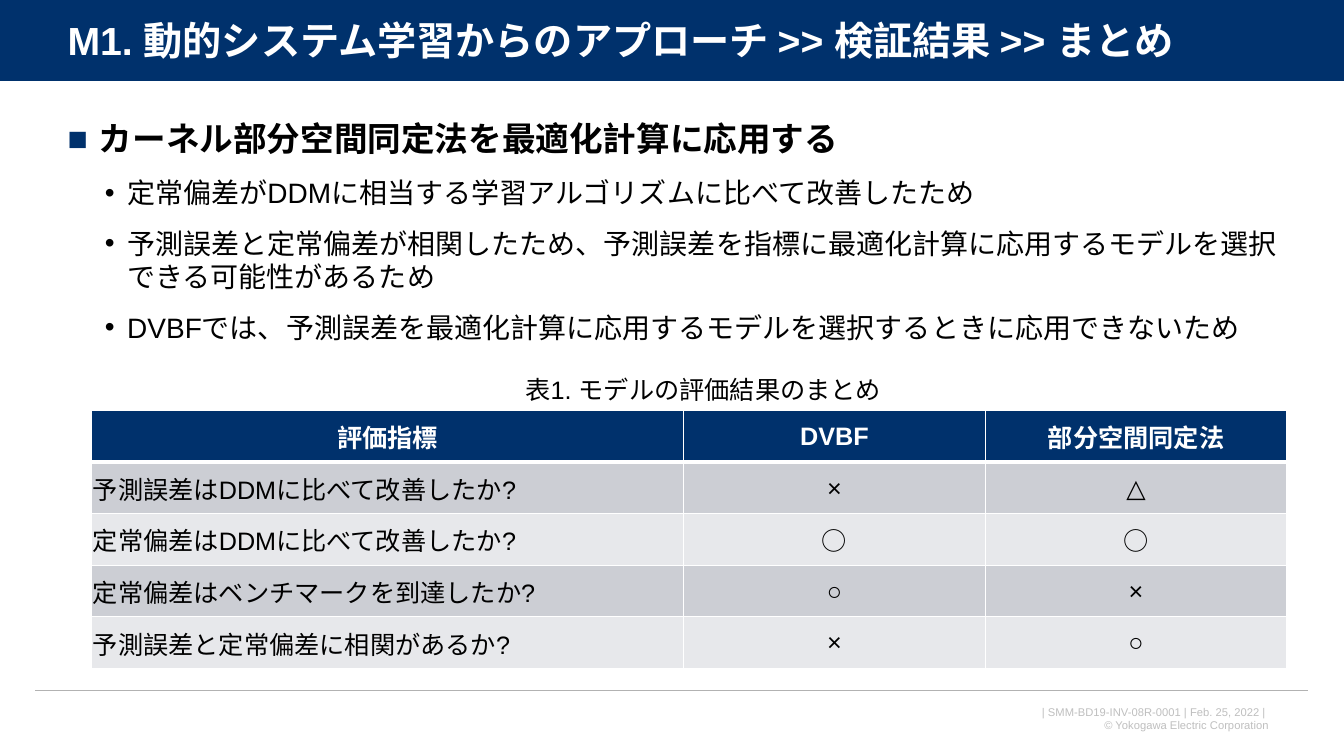
from dataclasses import dataclass

from lxml.etree import SubElement
from pptx import Presentation
from pptx.dml.color import RGBColor
from pptx.enum.shapes import MSO_CONNECTOR, MSO_SHAPE
from pptx.enum.text import MSO_ANCHOR, MSO_AUTO_SIZE, PP_ALIGN
from pptx.oxml.ns import qn
from pptx.util import Cm, Pt


@dataclass(frozen=True)
class Theme:
    navy: str = "00316C"
    white: str = "FFFFFF"
    black: str = "000000"
    rule: str = "B2B2B2"
    footer: str = "BFBFBF"
    bands: tuple = ("CCCED4", "E7E8EB")
    font: str = "Arial"
    east_asian: str = "Noto Sans CJK JP"
    title_size: int = 28
    heading_size: int = 24
    item_size: int = 20
    table_size: int = 18
    footer_size: int = 8


THEME = Theme()
SLIDE_WIDTH, SLIDE_HEIGHT = Cm(33.87), Cm(19.05)
BANNER_HEIGHT = Cm(2.06)

REASONS = [
    "定常偏差がDDMに相当する学習アルゴリズムに比べて改善したため",
    "予測誤差と定常偏差が相関したため、予測誤差を指標に最適化計算に応用するモデルを選択できる可能性があるため",
    "DVBFでは、予測誤差を最適化計算に応用するモデルを選択するときに応用できないため",
]
HEADER = ["評価指標", "DVBF", "部分空間同定法"]
RESULTS = [
    ["予測誤差はDDMに比べて改善したか?", "×", "△"],
    ["定常偏差はDDMに比べて改善したか?", "○", "○"],
    ["定常偏差はベンチマークを到達したか?", "○", "×"],
    ["予測誤差と定常偏差に相関があるか?", "×", "○"],
]
WIDE_CIRCLE_ROW = 2


def write_text(paragraph, text, *, size, color=THEME.black, bold=False, font=THEME.font,
               east_asian=THEME.east_asian, align=PP_ALIGN.LEFT, line_spacing=1.0, before=0):
    paragraph.alignment = align
    paragraph.line_spacing = line_spacing
    paragraph.space_before = Pt(before)
    run = paragraph.add_run()
    run.text = text
    run.font.size = Pt(size)
    run.font.bold = bold
    run.font.color.rgb = RGBColor.from_string(color)
    run.font.name = font
    SubElement(run.font._element, qn("a:ea"), typeface=east_asian)


def set_bullet(paragraph, character, color, margin, hanging):
    properties = paragraph._p.get_or_add_pPr()
    properties.set("marL", str(margin))
    properties.set("indent", str(-hanging))
    bullet_color = SubElement(properties, qn("a:buClr"))
    SubElement(bullet_color, qn("a:srgbClr"), val=color)
    SubElement(properties, qn("a:buFont"), typeface=THEME.font)
    SubElement(properties, qn("a:buChar"), char=character)


def place(shape, left, top, width, height):
    shape.left, shape.top, shape.width, shape.height = left, top, width, height
    shape.text_frame.auto_size = MSO_AUTO_SIZE.NONE
    shape.text_frame.word_wrap = True


def add_text(slide, lines, left, top, width, height, **text_format):
    shape = slide.shapes.add_textbox(left, top, width, height)
    frame = shape.text_frame
    frame.word_wrap = True
    for index, line in enumerate(lines):
        paragraph = frame.add_paragraph() if index else frame.paragraphs[0]
        write_text(paragraph, line, **text_format)


def add_rule(slide, left, right, top, color, width):
    line = slide.shapes.add_connector(MSO_CONNECTOR.STRAIGHT, left, top, right, top)
    line.line.color.rgb = RGBColor.from_string(color)
    line.line.width = Pt(width)
    SubElement(line._element.spPr, qn("a:effectLst"))


def add_banner(slide):
    banner = slide.shapes.add_shape(MSO_SHAPE.RECTANGLE, 0, 0, SLIDE_WIDTH, BANNER_HEIGHT)
    banner.shadow.inherit = False
    banner.fill.solid()
    banner.fill.fore_color.rgb = RGBColor.from_string(THEME.navy)
    banner.line.fill.background()
    # The banner lies behind the title
    slide.shapes.title._element.addprevious(banner._element)


def fill_title(slide, text):
    title = slide.shapes.title
    place(title, Cm(1.45), Cm(0.36), Cm(31.67), Cm(1.45))
    title.text_frame.vertical_anchor = MSO_ANCHOR.MIDDLE
    write_text(title.text_frame.paragraphs[0], text, size=THEME.title_size,
               color=THEME.white, bold=True, line_spacing=0.9)


def fill_body(slide, heading, items):
    body = slide.placeholders[1]
    place(body, Cm(1.45), Cm(2.97), Cm(31.5), Cm(13.84))
    paragraph = body.text_frame.paragraphs[0]
    set_bullet(paragraph, "■", THEME.navy, Cm(0.79), Cm(0.79))
    write_text(paragraph, heading, size=THEME.heading_size, bold=True, line_spacing=0.9)
    for item in items:
        paragraph = body.text_frame.add_paragraph()
        paragraph.level = 1
        set_bullet(paragraph, "•", THEME.black, Cm(1.5), Cm(0.56))
        write_text(paragraph, item, size=THEME.item_size, before=12)


def set_cell(cell, fill, borders):
    cell.vertical_anchor = MSO_ANCHOR.MIDDLE
    cell.margin_left = cell.margin_right = cell.margin_top = Cm(0.03)
    cell.margin_bottom = 0
    properties = cell._tc.get_or_add_tcPr()
    for side, width in borders.items():
        border = SubElement(properties, qn(f"a:ln{side}"), w=str(Pt(width)))
        border_fill = SubElement(border, qn("a:solidFill"))
        SubElement(border_fill, qn("a:srgbClr"), val=THEME.white)
    cell.fill.solid()
    cell.fill.fore_color.rgb = RGBColor.from_string(fill)


def add_results_table(slide):
    rows = [HEADER] + RESULTS
    widths = [Cm(14.92), Cm(7.6), Cm(7.6)]
    row_height = Cm(1.3)
    table = slide.shapes.add_table(len(rows), len(widths), Cm(2.31), Cm(10.34),
                                   sum(widths), row_height * len(rows)).table
    for column, width in zip(table.columns, widths):
        column.width = width
    for row_index, row in enumerate(rows):
        is_header = row_index == 0
        fill = THEME.navy if is_header else THEME.bands[(row_index - 1) % 2]
        borders = {"L": 1, "R": 1, "T": 3 if row_index == 1 else 1, "B": 3 if is_header else 1}
        for column_index, text in enumerate(row):
            cell = table.cell(row_index, column_index)
            set_cell(cell, fill, borders)
            is_question = column_index == 0 and not is_header
            is_mark = column_index > 0 and not is_header
            font = THEME.east_asian if is_mark and row_index == WIDE_CIRCLE_ROW else THEME.font
            write_text(cell.text_frame.paragraphs[0], text, size=THEME.table_size,
                       color=THEME.white if is_header else THEME.black, bold=is_header,
                       font=font, east_asian=font if is_mark else THEME.east_asian,
                       align=PP_ALIGN.LEFT if is_question else PP_ALIGN.CENTER)


def main():
    presentation = Presentation()
    presentation.slide_width, presentation.slide_height = SLIDE_WIDTH, SLIDE_HEIGHT
    slide = presentation.slides.add_slide(presentation.slide_layouts[1])

    # Frame: banner, rules and footer
    add_banner(slide)
    add_rule(slide, 0, SLIDE_WIDTH, BANNER_HEIGHT, THEME.white, 0.75)
    add_rule(slide, Cm(0.89), Cm(32.97), Cm(17.4), THEME.rule, 1)
    add_text(slide, ["| SMM-BD19-INV-08R-0001 | Feb. 25, 2022 | ", "© Yokogawa Electric Corporation"],
             Cm(24.08), Cm(17.65), Cm(8.15), Cm(0.94),
             size=THEME.footer_size, color=THEME.footer, align=PP_ALIGN.RIGHT)

    # Title and argument
    fill_title(slide, "M1. 動的システム学習からのアプローチ >> 検証結果 >> まとめ")
    fill_body(slide, "カーネル部分空間同定法を最適化計算に応用する", REASONS)

    # Results table with caption
    add_results_table(slide)
    add_text(slide, ["表1. モデルの評価結果のまとめ"], Cm(12.24), Cm(9.3), Cm(10.97), Cm(1.02),
             size=THEME.table_size, align=PP_ALIGN.CENTER)

    presentation.save("out.pptx")


if __name__ == "__main__":
    main()
